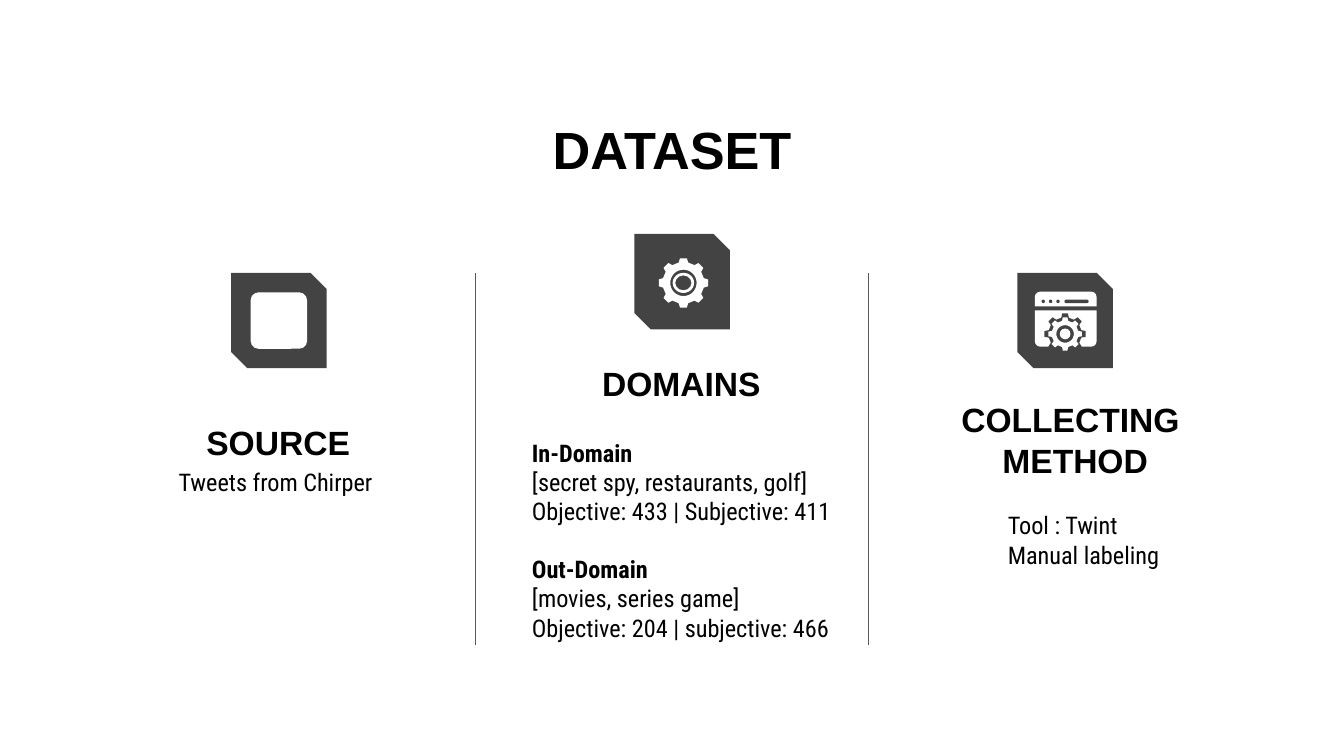
from dataclasses import dataclass
from math import cos, radians, sin

from lxml.etree import SubElement
from pptx import Presentation
from pptx.dml.color import RGBColor
from pptx.enum.shapes import MSO_CONNECTOR as Connector, MSO_SHAPE as Preset
from pptx.enum.text import MSO_ANCHOR as Anchor, MSO_AUTO_SIZE as AutoSize, PP_ALIGN as Align
from pptx.oxml.ns import qn
from pptx.util import Inches, Pt

COLUMNS, ROWS = 100, 56.25
CELL = Inches(0.1)


@dataclass(frozen=True)
class Theme:
    """Colours, fonts and type sizes of the deck."""
    ink: RGBColor = RGBColor(0, 0, 0)
    paper: RGBColor = RGBColor(255, 255, 255)
    tile: RGBColor = RGBColor.from_string("434343")
    rule: RGBColor = RGBColor.from_string("595959")
    head_font: str = "Arial"
    body_font: str = "Roboto Condensed"
    title_size: int = 28
    head_size: int = 18
    body_size: int = 13
    body_line: float = 15.5


THEME = Theme()


@dataclass(frozen=True)
class Box:
    """A rectangle measured in grid cells."""
    left: float
    top: float
    width: float
    height: float

    def inner(self, left, top, width, height):
        """Return a box placed relative to this one."""
        return Box(self.left + left, self.top + top, width, height)

    def centred(self, width, height):
        """Return a box of the given size around the same centre."""
        return self.inner((self.width - width) / 2, (self.height - height) / 2, width, height)

    def emu(self):
        """Return position and size as slide lengths."""
        return [int(CELL * side) for side in (self.left, self.top, self.width, self.height)]


def paint(shape, color):
    """Give a shape a flat fill without line or shadow."""
    shape.shadow.inherit = False
    shape.fill.solid()
    shape.fill.fore_color.rgb = color
    shape.line.fill.background()


def add_preset(page, preset, box, color, adjustments=()):
    """Add a flat preset shape."""
    shape = page.shapes.add_shape(preset, *box.emu())
    for index, value in enumerate(adjustments):
        shape.adjustments[index] = value
    paint(shape, color)


def ring_points(box, radius, angles):
    """Return points around the centre of a box, radius as a share of its half width."""
    reach = radius * box.width / 2
    return [(CELL * (box.left + box.width / 2 + reach * sin(radians(angle))),
             CELL * (box.top + box.height / 2 - reach * cos(radians(angle)))) for angle in angles]


def add_gear(page, box, color, root, hole=0):
    """Add an eight-toothed gear, with a round hole if asked."""
    outline = []
    for tooth in range(0, 360, 45):
        for radius, shift in ((root, -13), (1, -8), (1, 8), (root, 13)):
            outline += ring_points(box, radius, [tooth + shift])
    builder = page.shapes.build_freeform(*outline[0])
    builder.add_line_segments(outline[1:])
    if hole:
        circle = ring_points(box, hole, range(360, 0, -10))
        builder.move_to(*circle[0])
        builder.add_line_segments(circle[1:])
    paint(builder.convert_to_shape(), color)


def draw_source_icon(page, tile):
    """Draw a plain rounded square on the tile."""
    add_preset(page, Preset.ROUNDED_RECTANGLE, tile.centred(4.2, 4.2), THEME.paper, [0.14])


def draw_domain_icon(page, tile):
    """Draw a gear with a ring in its hub."""
    gear = tile.inner(1.8, 1.8, 3.7, 3.7)
    add_gear(page, gear, THEME.paper, 0.84, 0.53)
    add_preset(page, Preset.DONUT, gear.centred(1.6, 1.5), THEME.paper, [0.13])


def draw_method_icon(page, tile):
    """Draw a browser window with a gear in front."""
    window = tile.inner(1.3, 1.4, 4.6, 4.1)
    bar = window.inner(0, 0, 4.6, 1.1)
    add_preset(page, Preset.ROUND_2_SAME_RECTANGLE, bar, THEME.paper, [0.36, 0])
    for dot in range(3):
        add_preset(page, Preset.OVAL, bar.inner(0.5 + 0.55 * dot, 0.6, 0.25, 0.25), THEME.tile)
    add_preset(page, Preset.ROUNDED_RECTANGLE, bar.inner(2.2, 0.6, 1.8, 0.25), THEME.tile, [0.5])
    pane = window.inner(0, 1.4, 4.6, 2.7)
    add_preset(page, Preset.ROUND_2_SAME_RECTANGLE, pane, THEME.paper, [0, 0.15])
    gear = pane.inner(1, 0.5, 2.5, 2.5)
    add_gear(page, gear.centred(3.1, 3.1), THEME.tile, 0.8)
    add_gear(page, gear, THEME.paper, 0.8, 0.52)
    add_preset(page, Preset.OVAL, gear.centred(0.8, 0.8), THEME.paper)


def set_text(shape, lines, font, size, align, anchor=Anchor.TOP, bold=()):
    """Write lines into a shape, bold on the listed indexes."""
    frame = shape.text_frame
    frame.word_wrap, frame.auto_size = True, AutoSize.NONE
    frame.vertical_anchor = anchor
    frame.margin_left = frame.margin_right = frame.margin_top = frame.margin_bottom = CELL
    for index, line in enumerate(lines):
        para = frame.add_paragraph() if index else frame.paragraphs[0]
        para.text, para.alignment = line, align
        para.font.name, para.font.size = font, Pt(size)
        para.font.bold = index in bold
        para.font.color.rgb = THEME.ink
        if index and index in bold:
            para.space_before = Pt(THEME.body_line)


def draw_title(page, box, text):
    """Place the slide title."""
    title = page.shapes.title
    title.left, title.top, title.width, title.height = box.emu()
    set_text(title, [text], THEME.head_font, THEME.title_size, Align.CENTER, bold=[0])


def draw_divider(page, box):
    """Draw a thin rule down the left side of a box."""
    left, top, _, height = box.emu()
    rule = page.shapes.add_connector(Connector.STRAIGHT, left, top, left, top + height)
    rule.line.color.rgb, rule.line.width = THEME.rule, Pt(0.75)
    SubElement(rule._element.spPr, qn("a:effectLst"))


def draw_column(page, box, icon, icon_left, heading, heading_top, body, lines, align, bold=()):
    """Place icon tile, heading and body text in one column."""
    tile = box.inner(icon_left, 0, 7.1, 7.1)
    add_preset(page, Preset.SNIP_2_DIAG_RECTANGLE, tile, THEME.tile, [0, 0.17])
    icon(page, tile)
    head = page.shapes.add_textbox(*box.inner(0, heading_top, box.width, 4.7).emu())
    set_text(head, [heading], THEME.head_font, THEME.head_size, Align.CENTER, Anchor.BOTTOM, [0])
    text = page.shapes.add_textbox(*box.inner(*body).emu())
    set_text(text, lines, THEME.body_font, THEME.body_size, align, bold=bold)


def main():
    """Build and save the deck."""
    deck = Presentation()
    deck.slide_width, deck.slide_height = int(CELL * COLUMNS), int(CELL * ROWS)
    page = deck.slides.add_slide(deck.slide_layouts[5])
    draw_title(page, Box(21.5, 7.7, 57, 10.3), "DATASET")
    draw_column(page, Box(6.1, 20.3, 29.2, 27.7), draw_source_icon, 11.1, "SOURCE", 10.4,
                (3.4, 13.5, 22.4, 11), ["Tweets from Chirper "], Align.CENTER)
    draw_column(page, Box(36.1, 17.4, 29.2, 35), draw_domain_icon, 11.1, "DOMAINS", 8.9,
                (2.5, 14.2, 28.5, 20.8),
                ["In-Domain", "[secret spy, restaurants, golf]", "Objective: 433 | Subjective: 411",
                 "Out-Domain", "[movies, series game]", "Objective: 204 | subjective: 466"],
                Align.LEFT, bold=(0, 3))
    draw_column(page, Box(65.4, 20.3, 29.2, 27.7), draw_method_icon, 10.3,
                "COLLECTING \vMETHOD", 11.7, (8.6, 16.7, 19.1, 11),
                ["Tool : Twint", "Manual labeling"], Align.LEFT)
    for left in (35.4, COLUMNS - 35.4):
        draw_divider(page, Box(left, 20.3, 0, 27.7))
    deck.save("out.pptx")


if __name__ == "__main__":
    main()
